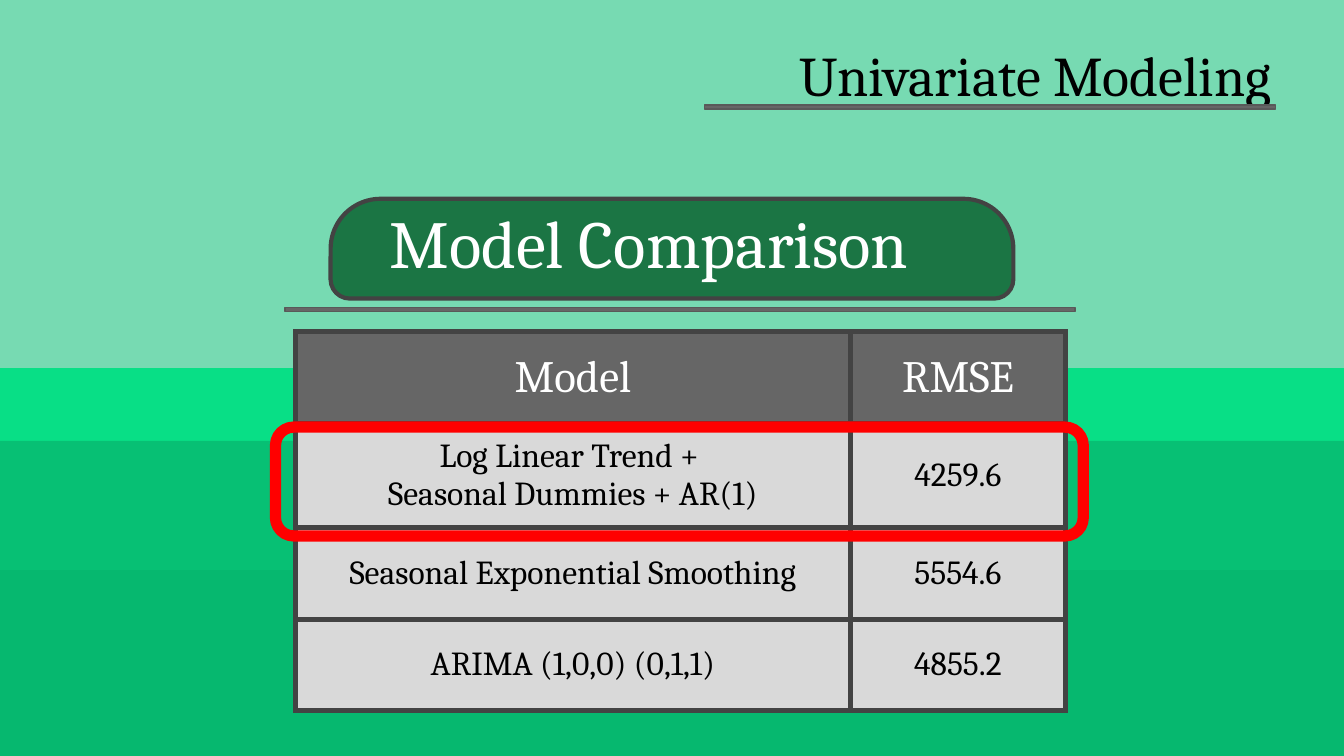
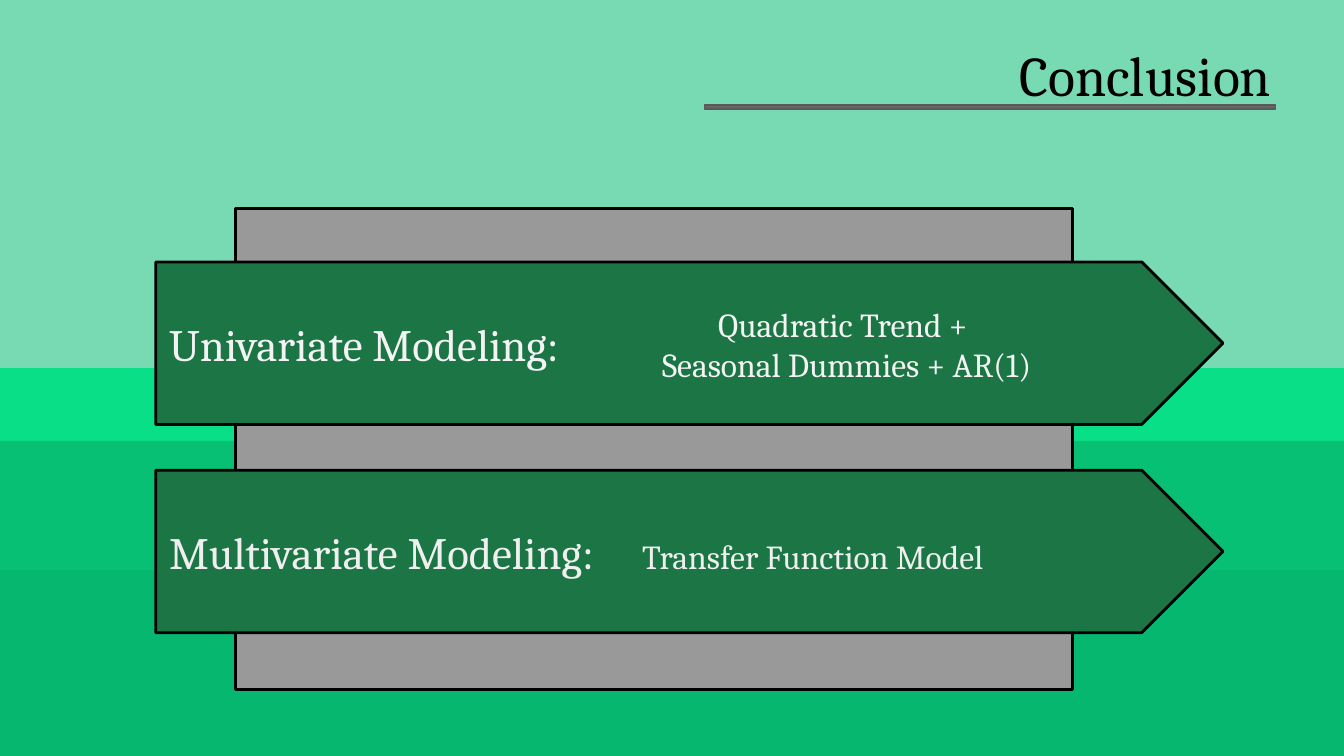
from dataclasses import dataclass

from lxml import etree
from pptx import Presentation
from pptx import util as u
from pptx.dml.color import RGBColor
from pptx.enum import shapes, text
from pptx.oxml import ns

SLIDE_WIDTH, SLIDE_HEIGHT = u.Inches(10), u.Inches(5.625)
FONT = "Cambria"
TITLE_ONLY = 5

BLACK = RGBColor(0x00, 0x00, 0x00)
WHITE = RGBColor(0xFF, 0xFF, 0xFF)
OFF_WHITE = RGBColor(0xF3, 0xF3, 0xF3)
PALE_GRAY = RGBColor(0xEF, 0xEF, 0xEF)
CELL_GRAY = RGBColor(0xD9, 0xD9, 0xD9)
BACKING_GRAY = RGBColor(0x99, 0x99, 0x99)
DARK_GRAY = RGBColor(0x66, 0x66, 0x66)
RULE_EDGE = RGBColor(0x59, 0x59, 0x59)
CHARCOAL = RGBColor(0x43, 0x43, 0x43)
RED = RGBColor(0xFF, 0x00, 0x00)
FOREST = RGBColor(0x1B, 0x75, 0x44)
SKY = RGBColor(0x77, 0xDA, 0xB2)
GROUND = RGBColor(0x06, 0xB8, 0x6F)
HORIZON = RGBColor(0x08, 0xDF, 0x86)
FIELD = RGBColor(0x07, 0xC0, 0x74)

LEFT, CENTER, RIGHT = text.PP_ALIGN.LEFT, text.PP_ALIGN.CENTER, text.PP_ALIGN.RIGHT
TOP, MIDDLE = text.MSO_ANCHOR.TOP, text.MSO_ANCHOR.MIDDLE
SHAPE = shapes.MSO_SHAPE


@dataclass
class Box:
    """An area on a grid of 100 columns by 100 rows over the slide."""
    left: float
    top: float
    width: float
    height: float

    def inner(self, column, row, width, height):
        return Box(self.left + column, self.top + row, width, height)

    def lengths(self):
        return (columns(self.left), rows(self.top),
                columns(self.width), rows(self.height))


def columns(count):
    return round(SLIDE_WIDTH * count / 100)


def rows(count):
    return round(SLIDE_HEIGHT * count / 100)


# Shared drawing helpers

def add_shape(slide, kind, box, fill=None, line=None, line_width=0.75, adjustments=()):
    shape = slide.shapes.add_shape(kind, *box.lengths())
    shape.shadow.inherit = False
    for index, value in enumerate(adjustments):
        shape.adjustments[index] = value
    if fill is None:
        shape.fill.background()
    else:
        shape.fill.solid()
        shape.fill.fore_color.rgb = fill
    if line is None:
        shape.line.fill.background()
    else:
        shape.line.color.rgb = line
        shape.line.width = u.Pt(line_width)
    return shape


def add_run(paragraph, words, size, color):
    run = paragraph.add_run()
    run.text = words
    run.font.name = FONT
    run.font.size = u.Pt(size)
    run.font.color.rgb = color


def add_lines(frame, lines, size, color, align):
    for index, words in enumerate(lines):
        paragraph = frame.add_paragraph() if index else frame.paragraphs[0]
        paragraph.alignment = align
        add_run(paragraph, words, size, color)


def set_margins(holder):
    holder.margin_left = holder.margin_right = u.Inches(0.1)
    holder.margin_top = holder.margin_bottom = u.Inches(0.1)


def write(frame, lines, size, color, align=LEFT, anchor=TOP):
    frame.word_wrap = True
    frame.auto_size = text.MSO_AUTO_SIZE.NONE
    frame.vertical_anchor = anchor
    set_margins(frame)
    add_lines(frame, lines, size, color, align)


def add_text(slide, box, lines, size, color, align=LEFT):
    text_box = slide.shapes.add_textbox(*box.lengths())
    write(text_box.text_frame, lines, size, color, align)


def add_rule(slide, box):
    add_shape(slide, SHAPE.RECTANGLE, box, DARK_GRAY, RULE_EDGE)


def add_tab_stop(paragraph, position):
    properties = paragraph._p.get_or_add_pPr()
    tabs = etree.SubElement(properties, ns.qn("a:tabLst"))
    etree.SubElement(tabs, ns.qn("a:tab"), pos=str(position), algn="l")


# Shared slide parts

def move_bands_to_layout(slide):
    """Draw the landscape bands and hand them to the slide's layout."""
    bands = [(64.4, 35.6, GROUND), (48.7, 13.5, HORIZON), (58.3, 17.1, FIELD)]
    for index, (top, height, color) in enumerate(bands):
        band = add_shape(slide, SHAPE.RECTANGLE, Box(0, top, 100, height), color)
        band.element.nvSpPr.cNvPr.set("id", str(100 + index))
        slide.slide_layout.shapes.element.insert(2 + index, band.element)


def add_titled_slide(presentation, words):
    slide = presentation.slides.add_slide(presentation.slide_layouts[TITLE_ONLY])
    title = slide.shapes.title
    title.left, title.top, title.width, title.height = Box(55.5, 3.6, 40.1, 8).lengths()
    write(title.text_frame, [words], 30, BLACK, RIGHT)
    return slide


def add_title_rule(slide):
    add_rule(slide, Box(52.4, 13.9, 42.5, 0.53))


# Model comparison

def format_cell(cell, lines, size, color, fill):
    add_lines(cell.text_frame, lines, size, color, CENTER)
    cell.vertical_anchor = MIDDLE
    set_margins(cell)
    cell.fill.solid()
    cell.fill.fore_color.rgb = fill
    properties = cell._tc.get_or_add_tcPr()
    for index, side in enumerate(("lnL", "lnR", "lnT", "lnB")):
        border = etree.Element(ns.qn(f"a:{side}"), w=str(u.Pt(3)))
        solid = etree.SubElement(border, ns.qn("a:solidFill"))
        etree.SubElement(solid, ns.qn("a:srgbClr"), val=str(CHARCOAL))
        properties.insert(index, border)


def add_rmse_table(slide, box):
    records = [
        (["Model"], ["RMSE"]),
        (["Log Linear Trend + ", "Seasonal Dummies + AR(1)"], ["4259.6"]),
        (["Seasonal Exponential Smoothing"], ["5554.6"]),
        (["ARIMA (1,0,0) (0,1,1)"], ["4855.2"]),
    ]
    table = slide.shapes.add_table(len(records), 2, *box.lengths()).table
    table.first_row = table.horz_banding = False
    for column, share in zip(table.columns, (0.72, 0.28)):
        column.width = columns(box.width * share)
    for row_index, record in enumerate(records):
        table.rows[row_index].height = rows(box.height / len(records))
        style = (18, BLACK, CELL_GRAY) if row_index else (24, WHITE, DARK_GRAY)
        for column_index, lines in enumerate(record):
            format_cell(table.cell(row_index, column_index), lines, *style)


def add_comparison(slide, box):
    # Banner with its heading
    add_shape(slide, SHAPE.ROUND_2_SAME_RECTANGLE, box.inner(4.1, 1.4, 50.8, 13.2),
              FOREST, CHARCOAL, 2.25, (0.5, 0.193))
    add_text(slide, box.inner(7.5, 0, 45.3, 16), ["Model Comparison"], 36, WHITE)
    add_rule(slide, box.inner(0.7, 15.8, 58.8, 0.53))
    # Scores, with the best model outlined
    add_rmse_table(slide, box.inner(1.5, 19, 57.3, 48.4))
    add_shape(slide, SHAPE.ROUNDED_RECTANGLE, box.inner(0, 31.6, box.width, 14.4),
              line=RED, line_width=6, adjustments=(0.167,))


# Conclusion

def add_conclusions(slide, box):
    add_shape(slide, SHAPE.RECTANGLE, box, BACKING_GRAY, BLACK, 1.5)
    add_title_rule(slide)

    # One arrow for each kind of modeling
    labels = [("Univariate Modeling:", OFF_WHITE), ("Multivariate Modeling:", PALE_GRAY)]
    for index, (label, color) in enumerate(labels):
        arrow = add_shape(slide, SHAPE.PENTAGON,
                          box.inner(-5.9, 7.1 + 27.55 * index, 79.4, 21.5),
                          FOREST, BLACK, 1.5, (0.5,))
        write(arrow.text_frame, [label], 24, color, anchor=MIDDLE)

    # Chosen models: beside the last label, and over the first arrow
    paragraph = arrow.text_frame.paragraphs[0]
    add_tab_stop(paragraph, columns(35.2))
    add_run(paragraph, "\tTransfer Function Model", 18, PALE_GRAY)
    add_text(slide, box.inner(28.7, 10.85, 33.6, 14.05),
             ["Quadratic Trend + ", "Seasonal Dummies + AR(1)"], 18, OFF_WHITE, CENTER)


def main():
    presentation = Presentation()
    presentation.slide_width, presentation.slide_height = SLIDE_WIDTH, SLIDE_HEIGHT
    background = presentation.slide_master.background.fill
    background.solid()
    background.fore_color.rgb = SKY

    comparison = add_titled_slide(presentation, "Univariate Modeling")
    move_bands_to_layout(comparison)
    add_title_rule(comparison)
    add_comparison(comparison, Box(20.5, 24.9, 60.1, 69.5))

    conclusion = add_titled_slide(presentation, "Conclusion")
    add_conclusions(conclusion, Box(17.5, 27.55, 62.3, 63.65))

    presentation.save("out.pptx")


if __name__ == "__main__":
    main()
